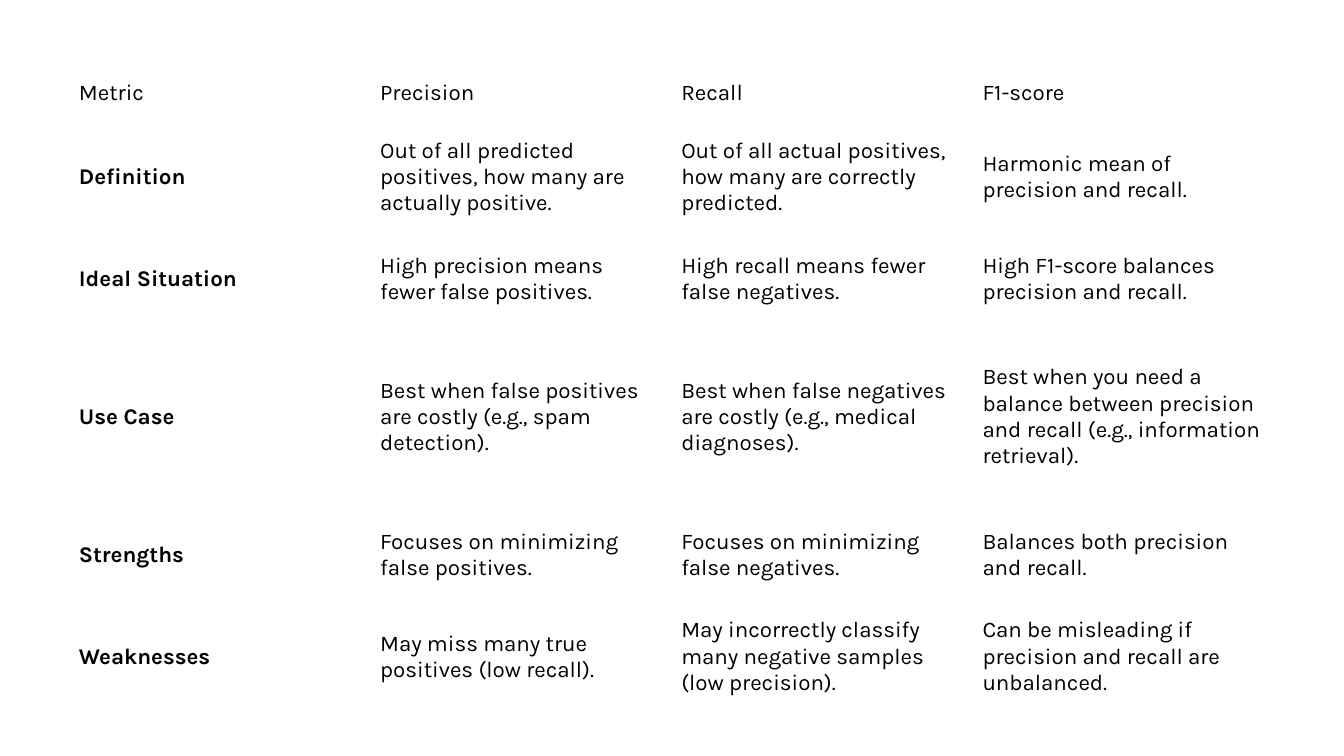
"""Build a slide with a table comparing precision, recall and F1-score."""
from pptx import Presentation
from pptx import util as u
from pptx.dml import color
from pptx.enum import text

ROWS = [
    ("Metric", "Precision", "Recall", "F1-score"),
    ("Definition",
     "Out of all predicted positives, how many are actually positive.",
     "Out of all actual positives, how many are correctly predicted.",
     "Harmonic mean of precision and recall."),
    ("Ideal Situation",
     "High precision means fewer false positives.",
     "High recall means fewer false negatives.",
     "High F1-score balances precision and recall."),
    ("Use Case",
     "Best when false positives are costly (e.g., spam detection).",
     "Best when false negatives are costly (e.g., medical diagnoses).",
     "Best when you need a balance between precision and recall (e.g., information retrieval)."),
    ("Strengths",
     "Focuses on minimizing false positives.",
     "Focuses on minimizing false negatives.",
     "Balances both precision and recall."),
    ("Weaknesses",
     "May miss many true positives (low recall).",
     "May incorrectly classify many negative samples (low precision).",
     "Can be misleading if precision and recall are unbalanced."),
]
ROW_HEIGHTS = [1.22, 3.02, 2.11, 4.85, 2.11, 3.02]
COLUMN_WIDTH = 7.59
LEFT, TOP = 1.75, 1.73


def rgb(value):
    return color.RGBColor.from_string(value)


def write(cell, content, size=16, bold=False, font="Karla", ink="000000"):
    cell.fill.background()
    cell.vertical_anchor = text.MSO_ANCHOR.MIDDLE
    cell.margin_left = cell.margin_right = u.Cm(0.24)
    cell.margin_top = cell.margin_bottom = u.Cm(0.11)
    run = cell.text_frame.paragraphs[0].add_run()
    run.text = content
    run.font.name = font
    run.font.size = u.Pt(size)
    run.font.bold = bold
    run.font.color.rgb = rgb(ink)


def main():
    presentation = Presentation()
    presentation.slide_width, presentation.slide_height = u.Cm(33.87), u.Cm(19.05)
    slide = presentation.slides.add_slide(presentation.slide_layouts[6])

    column_count = len(ROWS[0])
    table = slide.shapes.add_table(
        len(ROWS), column_count, u.Cm(LEFT), u.Cm(TOP),
        u.Cm(COLUMN_WIDTH * column_count), u.Cm(sum(ROW_HEIGHTS))).table
    table.first_row = table.horz_banding = False
    for column in table.columns:
        column.width = u.Cm(COLUMN_WIDTH)
    for row_index, (contents, height) in enumerate(zip(ROWS, ROW_HEIGHTS)):
        table.rows[row_index].height = u.Cm(height)
        for column_index, content in enumerate(contents):
            write(table.cell(row_index, column_index), content,
                  bold=row_index > 0 and column_index == 0)

    presentation.save("out.pptx")


if __name__ == "__main__":
    main()
